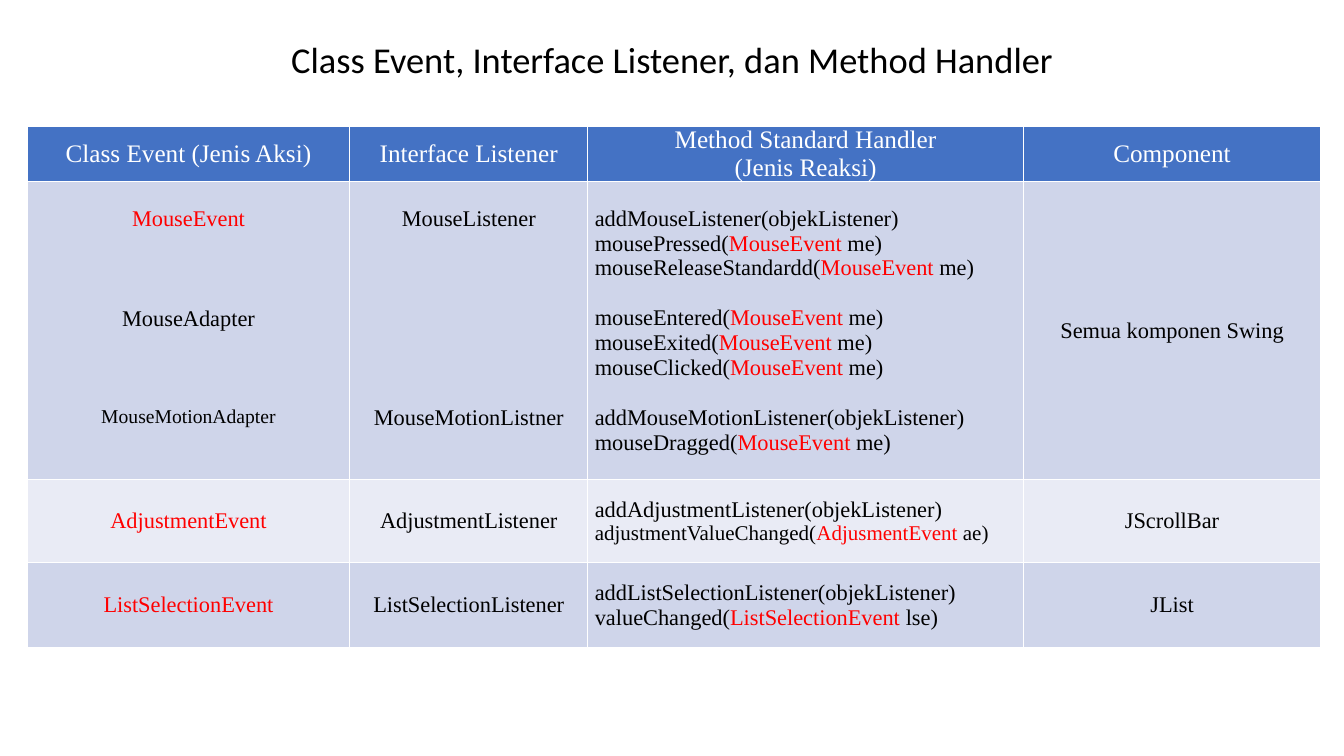
"""Build a slide with a table of Swing events, listeners and handler methods."""
from pptx import Presentation
from pptx.dml.color import RGBColor
from pptx.enum.text import MSO_ANCHOR, PP_ALIGN
from pptx.util import Inches, Pt

LINE_HEIGHT = 17.75
COLUMN_WIDTHS = [3.2, 2.36, 4.32, 2.95]
ROW_HEIGHTS = [0.46, 2.95, 0.83, 0.84]
ROW_FILLS = ["4472C4", "CFD5EA", "E9EBF5", "CFD5EA"]
METHOD_COLUMN = 2

# Text between asterisks is red.
ROWS = [
    [
        ["Class Event (Jenis Aksi)"],
        ["Interface Listener"],
        ["Method Standard Handler", "(Jenis Reaksi)"],
        ["Component"],
    ],
    [
        ["*MouseEvent*", "MouseAdapter", "MouseMotionAdapter"],
        ["MouseListener", "MouseMotionListner"],
        [
            "addMouseListener(objekListener)",
            "mousePressed(*MouseEvent* me)",
            "mouseReleaseStandardd(*MouseEvent* me)",
            "mouseEntered(*MouseEvent* me)",
            "mouseExited(*MouseEvent* me)",
            "mouseClicked(*MouseEvent* me)",
            "addMouseMotionListener(objekListener)",
            "mouseDragged(*MouseEvent* me)",
        ],
        ["Semua komponen Swing"],
    ],
    [
        ["*AdjustmentEvent*"],
        ["AdjustmentListener"],
        [
            "addAdjustmentListener(objekListener)",
            "adjustmentValueChanged(*AdjusmentEvent *ae)",
        ],
        ["JScrollBar"],
    ],
    [
        ["*ListSelectionEvent*"],
        ["ListSelectionListener"],
        [
            "addListSelectionListener(objekListener)",
            "valueChanged(*ListSelectionEvent *lse)",
        ],
        ["JList"],
    ],
]
LINES_BEFORE = {
    "MouseAdapter": 3,
    "MouseMotionAdapter": 3,
    "MouseMotionListner": 7,
    "mouseEntered(*MouseEvent* me)": 1,
    "addMouseMotionListener(objekListener)": 1,
}
SMALL_SIZES = {
    "MouseMotionAdapter": 14,
    "adjustmentValueChanged(*AdjusmentEvent *ae)": 15,
}


def color(value):
    return RGBColor.from_string(value)


def format_span(span, font_name, size, value):
    span.font.name = font_name
    span.font.size = Pt(size)
    span.font.bold = False
    span.font.color.rgb = color(value)


deck = Presentation()
deck.slide_width, deck.slide_height = Inches(13.33), Inches(7.5)
page = deck.slides.add_slide(deck.slide_layouts[5])

title = page.shapes.title
title.left, title.top = Inches(1.92), Inches(0.3)
title.width, title.height = Inches(9.5), Inches(0.62)
title.text_frame.text = "Class Event, Interface Listener, dan Method Handler"
title.text_frame.vertical_anchor = MSO_ANCHOR.MIDDLE
title_para = title.text_frame.paragraphs[0]
title_para.alignment = PP_ALIGN.CENTER
title_para.line_spacing = 0.9
format_span(title_para.runs[0], "Calibri", 26, "000000")

table = page.shapes.add_table(
    len(ROW_HEIGHTS), len(COLUMN_WIDTHS), Inches(0.27), Inches(1.25),
    Inches(sum(COLUMN_WIDTHS)), Inches(sum(ROW_HEIGHTS)),
).table
for column, width in zip(table.columns, COLUMN_WIDTHS):
    column.width = Inches(width)
for row, height in zip(table.rows, ROW_HEIGHTS):
    row.height = Inches(height)

for row_index, row_cells in enumerate(ROWS):
    is_header = row_index == 0
    for column_index, lines in enumerate(row_cells):
        is_method = column_index == METHOD_COLUMN
        starts_at_top = row_index == 1 and column_index < METHOD_COLUMN
        cell = table.cell(row_index, column_index)
        cell.fill.solid()
        cell.fill.fore_color.rgb = color(ROW_FILLS[row_index])
        cell.margin_left = cell.margin_right = Inches(0.07)
        cell.margin_top = Pt(LINE_HEIGHT) if starts_at_top else 0
        cell.margin_bottom = 0
        cell.vertical_anchor = MSO_ANCHOR.TOP if starts_at_top else MSO_ANCHOR.MIDDLE
        cell.text_frame.text = "\n".join(line.replace("*", "") for line in lines)
        for para, line in zip(cell.text_frame.paragraphs, lines):
            para.text = ""
            para.alignment = PP_ALIGN.LEFT if is_method and not is_header else PP_ALIGN.CENTER
            para.space_before = Pt(LINE_HEIGHT * LINES_BEFORE.get(line, 0))
            size = 18 if is_header else SMALL_SIZES.get(line, 16)
            plain = "FFFFFF" if is_header else "000000"
            for part_index, part in enumerate(line.split("*")):
                if part:
                    span = para.add_run()
                    span.text = part
                    format_span(span, "Times New Roman", size,
                                "FF0000" if part_index % 2 else plain)

deck.save("out.pptx")
